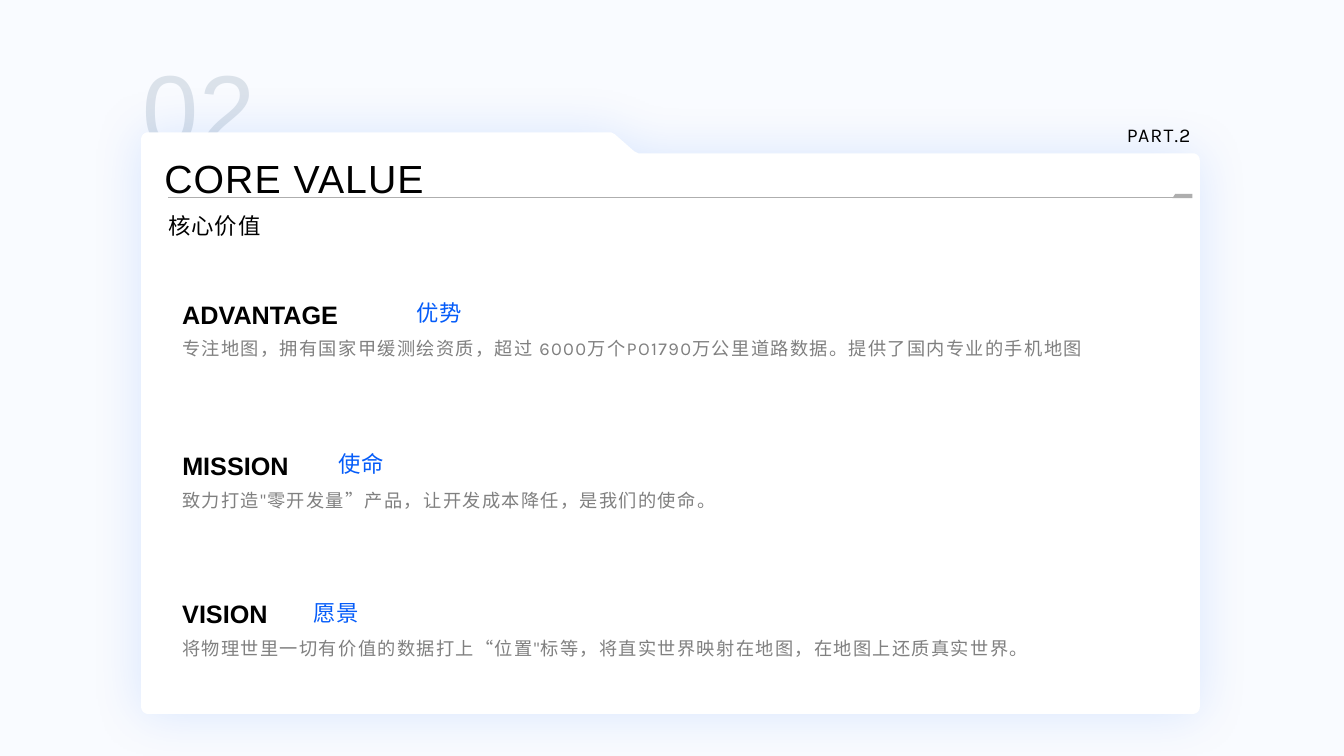
from dataclasses import dataclass
from math import cos, radians, sin

from lxml import etree
from pptx import Presentation
from pptx.dml.color import RGBColor
from pptx.enum.shapes import MSO_CONNECTOR
from pptx.enum.text import MSO_ANCHOR, MSO_AUTO_SIZE, PP_ALIGN
from pptx.oxml.ns import qn
from pptx.util import Pt

STRAIGHT = MSO_CONNECTOR.STRAIGHT
TOP = MSO_ANCHOR.TOP
GROW = MSO_AUTO_SIZE.SHAPE_TO_FIT_TEXT
LEFT, RIGHT = PP_ALIGN.LEFT, PP_ALIGN.RIGHT
TITLE_ONLY = 5

COLORS = {
    "background": "F9FBFF",
    "card": "FFFFFF",
    "accent": "055CF9",
    "number": "DBE2EA",
    "rule": "AEAEAE",
    "ink": "000000",
    "muted": "808080",
}


@dataclass(frozen=True)
class Style:
    font: dict
    color: str
    spacing: float = 0.8
    align: int = LEFT


@dataclass(frozen=True)
class Box:
    left: float
    top: float
    width: float
    height: float


@dataclass(frozen=True)
class Value:
    top: float
    heading: str
    heading_width: float
    chinese: str
    chinese_left: float
    description: str


NUMBER = Style({"name": "Arial", "size": Pt(72)}, "number")
TITLE = Style({"name": "Arial", "size": Pt(28)}, "ink")
SUBTITLE = Style({"name": "Arial", "size": Pt(16)}, "ink")
PART = Style({"name": "Karla", "size": Pt(14)}, "ink", align=RIGHT)
HEADING = Style({"name": "Arial", "size": Pt(18), "bold": True}, "ink", 0)
CHINESE = Style({"name": "Roboto", "size": Pt(16)}, "accent")
DESCRIPTION = Style({"name": "Karla", "size": Pt(13)}, "muted", 1)

VALUES = [
    Value(210.2, "ADVANTAGE", 185, "优势", 290.2,
          "专注地图，拥有国家甲缓测绘资质，超过 6000万个PO1790万公里道路数据。提供了国内专业的手机地图"),
    Value(318.2, "MISSION", 133.2, "使命", 234.7,
          "致力打造\"零开发量”产品，让开发成本降任，是我们的使命。"),
    Value(424.1, "VISION", 118.1, "愿景", 216.7,
          "将物理世里一切有价值的数据打上“位置\"标等，将直实世界映射在地图，在地图上还质真实世界。"),
]
VALUE_LEFT = 123.1
DESCRIPTION_DROP = 27.4


def rgb(color: str) -> RGBColor:
    return RGBColor.from_string(COLORS[color])


def fill_text(shape, text: str, box: Box, style: Style) -> None:
    frame = shape.text_frame
    frame.text = text
    frame_format = {"word_wrap": True, "auto_size": GROW, "vertical_anchor": TOP}
    for name, value in frame_format.items():
        setattr(frame, name, value)
    for name in ("left", "top", "width", "height"):
        setattr(shape, name, Pt(getattr(box, name)))
    paragraph = frame.paragraphs[0]
    paragraph.alignment = style.align
    font = paragraph.runs[0].font
    for name, value in style.font.items():
        setattr(font, name, value)
    font.color.rgb = rgb(style.color)
    paragraph.runs[0]._r.get_or_add_rPr().set("spc", str(round(style.spacing * 100)))


def add_text(slide, text: str, box: Box, style: Style) -> None:
    fill_text(slide.shapes.add_textbox(0, 0, 0, 0), text, box, style)


def add_outline(slide, points: list, color: str):
    corners = [(Pt(x), Pt(y)) for x, y in points]
    builder = slide.shapes.build_freeform(*corners[0], scale=1.0)
    builder.add_line_segments(corners[1:], close=True)
    outline = builder.convert_to_shape()
    outline.shadow.inherit = False
    outline.fill.solid()
    outline.fill.fore_color.rgb = rgb(color)
    outline.line.fill.background()
    return outline


def corner(x: float, y: float, start: int, radius: float = 5) -> list:
    """Points of a clockwise quarter circle around (x, y) from the start angle."""
    angles = [radians(start + step) for step in range(0, 91, 15)]
    return [(x + radius * cos(a), y + radius * sin(a)) for a in angles]


def add_card(slide) -> None:
    """White folder with a raised tab at the left and a soft blue glow."""
    tab_slope = [(436.3, 94.5), (439, 95.8), (452.9, 108), (455.8, 109.5)]
    points = (corner(105.8, 99.5, 180) + tab_slope + corner(852, 114.5, 270)
              + corner(852, 505, 0) + corner(105.8, 505, 90))
    card = add_outline(slide, points, "card")
    effects = card._element.spPr.find(qn("a:effectLst"))
    shadow = etree.SubElement(effects, qn("a:outerShdw"), blurRad=str(Pt(38)),
                              dist="0", dir="0", algn="ctr", rotWithShape="0")
    glow = etree.SubElement(shadow, qn("a:srgbClr"), val=COLORS["accent"])
    etree.SubElement(glow, qn("a:alpha"), val="13000")


def add_title_rule(slide) -> None:
    rule = slide.shapes.add_connector(STRAIGHT, Pt(120.2), Pt(141.2), Pt(851.8), Pt(141.2))
    rule.line.color.rgb = rgb("rule")
    rule.line.width = Pt(1)
    etree.SubElement(rule._element.spPr, qn("a:effectLst"))
    add_outline(slide, [(839.5, 138.5), (851.8, 138.5), (851.8, 141.6), (837.5, 141.6)], "rule")


def add_title(slide) -> None:
    """Fill the title placeholder and bring it in front of the card."""
    title = slide.shapes.title
    fill_text(title, "CORE VALUE", Box(110.2, 106.6, 405.4, 41), TITLE)
    title._element.getparent().append(title._element)


def add_value(slide, value: Value) -> None:
    add_text(slide, value.heading,
             Box(VALUE_LEFT, value.top, value.heading_width, 28.8), HEADING)
    add_text(slide, value.chinese,
             Box(value.chinese_left, value.top, 147.6, 26.6), CHINESE)
    add_text(slide, value.description,
             Box(VALUE_LEFT, value.top + DESCRIPTION_DROP, 708.5, 23), DESCRIPTION)


def main() -> None:
    deck = Presentation()
    deck.slide_width, deck.slide_height = Pt(960), Pt(540)
    slide = deck.slides.add_slide(deck.slide_layouts[TITLE_ONLY])
    slide.background.fill.solid()
    slide.background.fill.fore_color.rgb = rgb("background")

    add_text(slide, "02", Box(95, 28.8, 169.9, 94.3), NUMBER)
    add_card(slide)
    add_title_rule(slide)
    add_title(slide)
    add_text(slide, "核心价值", Box(113, 148.3, 147.6, 26.6), SUBTITLE)
    add_text(slide, "PART.2", Box(709.9, 84.2, 147.6, 24.5), PART)
    for value in VALUES:
        add_value(slide, value)
    deck.save("out.pptx")


if __name__ == "__main__":
    main()
